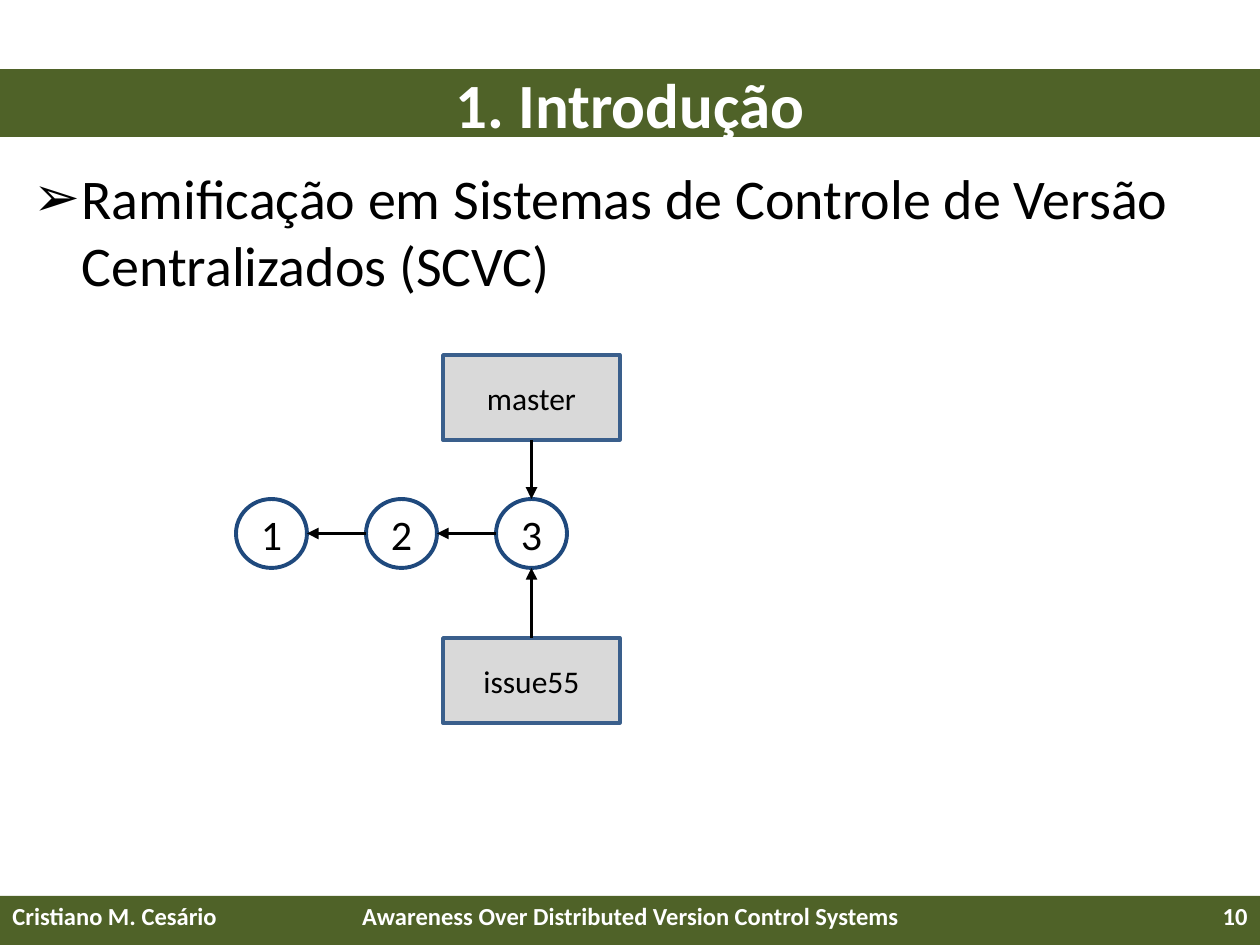
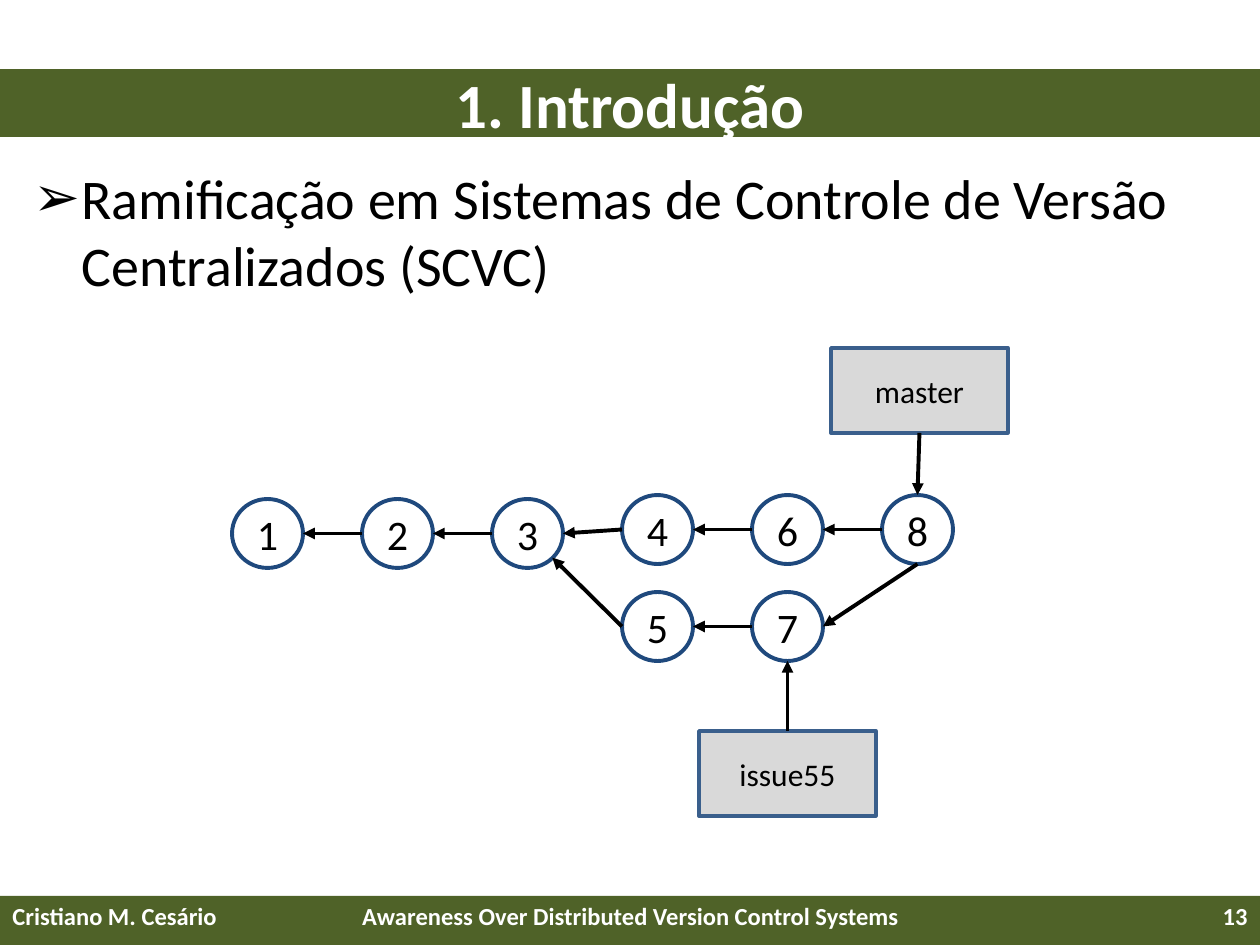
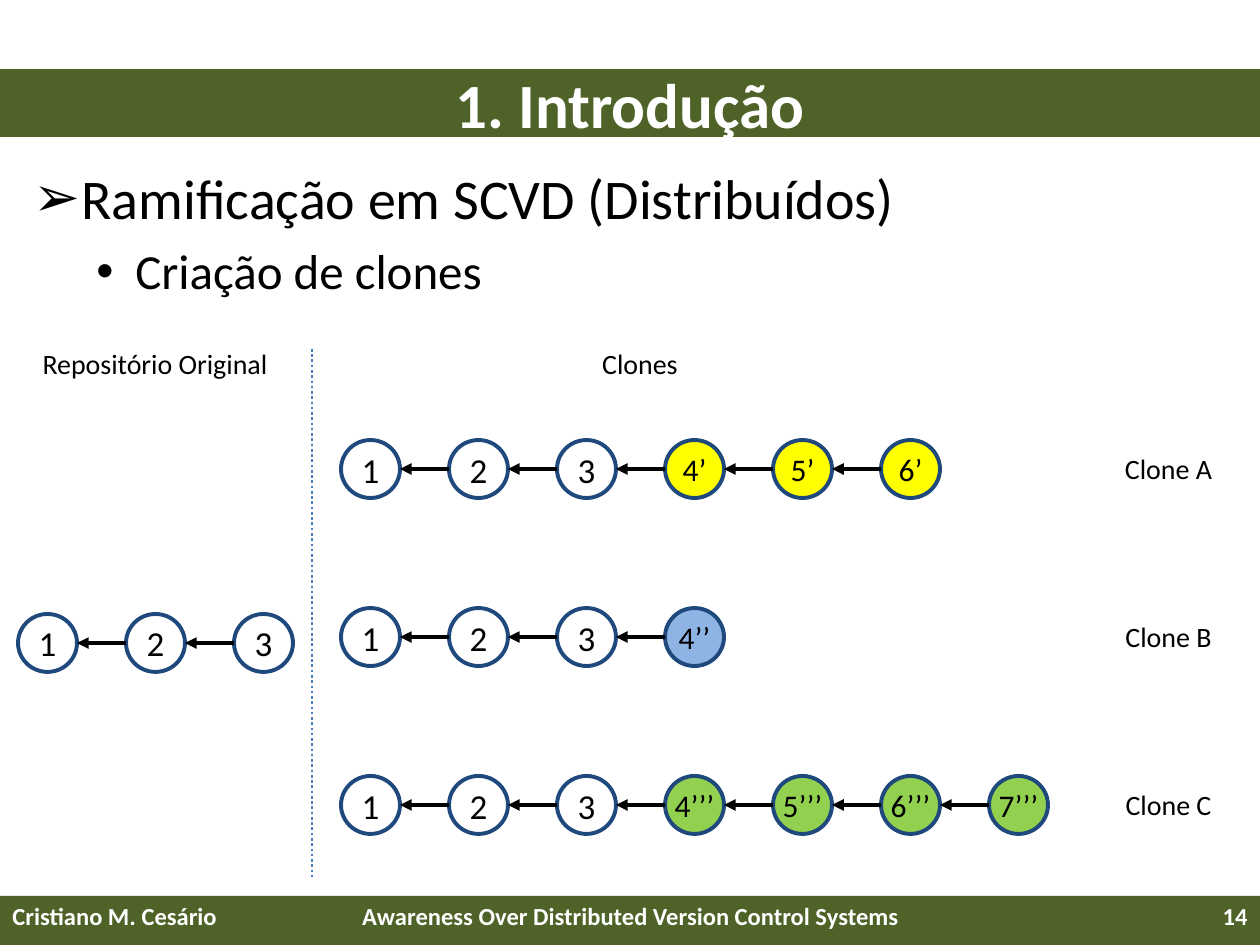
from lxml import etree
from pptx import Presentation
from pptx import util as u
from pptx.dml.color import RGBColor
from pptx.enum import dml, shapes, text
from pptx.oxml.ns import qn

WIDTH, HEIGHT = 1260, 945
SCALE = u.Inches(10) / WIDTH
FONT = "Calibri"
COLORS = {
    "band": "4F6228", "white": "FFFFFF", "ink": "000000",
    "branch": "D9D9D9", "branch_edge": "3A5F8C", "commit_edge": "1F497D",
    "divider": "4B7EBC", "clone_a": "FFFF00", "clone_b": "8EB4E3", "clone_c": "92D050",
}
ALIGN = {"l": text.PP_ALIGN.LEFT, "c": text.PP_ALIGN.CENTER, "r": text.PP_ALIGN.RIGHT}
# Points of a shape where arrows attach, as fractions of its size
SITES = {"left": (0, 0.5), "right": (1, 0.5), "top": (0.5, 0),
         "bottom": (0.5, 1), "lower right": (0.85, 0.85)}
# Bullet levels: character, left margin, hanging indent, text size, space before
LEVELS = [("➢", 48, 48, 32, 0), ("•", 102, 39, 28, 6)]


def emu(px):
    return u.Emu(round(px * SCALE))


def rgb(name):
    return RGBColor.from_string(COLORS[name])


class Deck:
    def __init__(self):
        self.prs = Presentation()
        self.prs.slide_width, self.prs.slide_height = emu(WIDTH), emu(HEIGHT)
        self.slide = None

    def new_slide(self, number, bullets):
        self.slide = self.prs.slides.add_slide(self.prs.slide_layouts[6])
        # Footer band
        self.shape("RECTANGLE", (0, 896, WIDTH, 49), "band")
        self.label("Cristiano M. Cesário", (0, 895, 294, 50), 14, "l", "white", True, "TOP")
        self.label("Awareness Over Distributed Version Control Systems",
                   (305, 895, 651, 50), 14, "c", "white", True, "TOP")
        self.label(str(number), (966, 895, 294, 50), 14, "r", "white", True, "TOP")
        # Title band
        title = self.shape("RECTANGLE", (0, 69, WIDTH, 68), "band")
        self.caption(title, "1. Introdução", 36, "c", "white", True)
        self.bullets(bullets)

    def add_words(self, paragraph, words, size, color="ink", bold=False):
        run = paragraph.add_run()
        run.text = words
        run.font.name, run.font.size, run.font.bold = FONT, u.Pt(size), bold
        run.font.color.rgb = rgb(color)

    def caption(self, shape, words, size, align="c", color="ink", bold=False, anchor="MIDDLE"):
        frame = shape.text_frame
        frame.word_wrap = True
        frame.vertical_anchor = text.MSO_ANCHOR[anchor]
        frame.paragraphs[0].alignment = ALIGN[align]
        self.add_words(frame.paragraphs[0], words, size, color, bold)

    def label(self, words, box, size, *style):
        self.caption(self.slide.shapes.add_textbox(*map(emu, box)), words, size, *style)

    def bullets(self, items):
        frame = self.slide.shapes.add_textbox(*map(emu, (21, 157, 1218, 725))).text_frame
        frame.word_wrap = True
        for i, (level, words) in enumerate(items):
            paragraph = frame.paragraphs[0] if i == 0 else frame.add_paragraph()
            char, margin, hang, size, before = LEVELS[level]
            props = paragraph._p.get_or_add_pPr()
            props.set("marL", str(emu(margin)))
            props.set("indent", str(-emu(hang)))
            etree.SubElement(props, qn("a:buFont")).set("typeface", "Arial")
            etree.SubElement(props, qn("a:buChar")).set("char", char)
            if i:
                paragraph.space_before = u.Pt(before)
            self.add_words(paragraph, words, size)

    def shape(self, kind, box, fill=None, edge=None, weight=2.25):
        shape = self.slide.shapes.add_shape(shapes.MSO_SHAPE[kind], *map(emu, box))
        shape.shadow.inherit = False
        if fill:
            shape.fill.solid()
            shape.fill.fore_color.rgb = rgb(fill)
        else:
            shape.fill.background()
        if edge:
            shape.line.color.rgb = rgb(edge)
            shape.line.width = u.Pt(weight)
        else:
            shape.line.fill.background()
        return shape

    def line(self, start, end, color="ink", weight=2.25):
        line = self.slide.shapes.add_connector(shapes.MSO_CONNECTOR.STRAIGHT, *start, *end)
        line.line.color.rgb = rgb(color)
        line.line.width = u.Pt(weight)
        etree.SubElement(line._element.spPr, qn("a:effectLst"))
        return line

    def arrow(self, source, source_site, target, target_site):
        ends = []
        for shape, site in ((source, source_site), (target, target_site)):
            fx, fy = SITES[site]
            ends.append((round(shape.left + fx * shape.width),
                         round(shape.top + fy * shape.height)))
        outline = self.line(*ends).line._get_or_add_ln()
        etree.SubElement(outline, qn("a:tailEnd")).set("type", "triangle")

    def divider(self, x, top, bottom):
        line = self.line((emu(x), emu(top)), (emu(x), emu(bottom)), "divider", 1.5)
        line.line.dash_style = dml.MSO_LINE.ROUND_DOT

    def branch(self, name, x, y):
        box = self.shape("RECTANGLE", (x, y, 177, 85), "branch", "branch_edge", 2)
        self.caption(box, name, 18)
        return box

    def commit(self, name, x, y, size, font, fill=None):
        node = self.shape("OVAL", (x, y, *size), fill, "commit_edge")
        node.text_frame.margin_left = node.text_frame.margin_right = 0
        self.caption(node, name, font)
        return node

    def history(self, names, x, y, pitch=130, size=(71, 69), font=24, new_fill=None):
        """Draw a row of commits, each pointing to the one before it."""
        nodes = []
        for i, name in enumerate(names):
            new = len(name) > 1
            node = self.commit(name, x + i * pitch, y, size, 18 if new else font,
                               new_fill if new else None)
            if nodes:
                self.arrow(node, "left", nodes[-1], "right")
            nodes.append(node)
        return nodes


def main():
    deck = Deck()
    centralized = [(0, "Ramificação em Sistemas de Controle de Versão Centralizados (SCVC)")]

    # Two branches on the same commit
    deck.new_slide(10, centralized)
    trunk = deck.history("123", 236, 499)
    master = deck.branch("master", 443, 355)
    issue = deck.branch("issue55", 443, 638)
    deck.arrow(master, "bottom", trunk[-1], "top")
    deck.arrow(issue, "top", trunk[-1], "bottom")

    # Branches diverge and merge
    deck.new_slide(13, centralized)
    trunk = deck.history("123", 232, 499)
    main_line = deck.history("468", 622, 495)
    issue_line = deck.history("57", 622, 592)
    deck.arrow(main_line[0], "left", trunk[-1], "right")
    deck.arrow(issue_line[0], "left", trunk[-1], "lower right")
    deck.arrow(main_line[-1], "bottom", issue_line[-1], "right")
    master = deck.branch("master", 831, 348)
    issue = deck.branch("issue55", 699, 731)
    deck.arrow(master, "bottom", main_line[-1], "top")
    deck.arrow(issue, "top", issue_line[-1], "bottom")

    # Repository and its clones
    deck.new_slide(14, [(0, "Ramificação em SCVD (Distribuídos)"), (1, "Criação de clones")])
    small = {"pitch": 108, "size": (59, 58), "font": 20}
    deck.label("Repositório Original", (29, 328, 252, 71), 16, "c")
    deck.label("Clones", (514, 328, 252, 71), 16, "c")
    deck.divider(312, 349, 878)
    deck.history("123", 18, 614, **small)
    clones = [("A", ["4’", "5’", "6’"]), ("B", ["4’’"]),
              ("C", ["4’’’", "5’’’", "6’’’", "7’’’"])]
    for row, (letter, new_commits) in enumerate(clones):
        y = 440 + 168 * row
        deck.history(["1", "2", "3", *new_commits], 341, y,
                     new_fill=f"clone_{letter.lower()}", **small)
        deck.label(f"Clone {letter}", (1095, y - 7, 147, 71), 16, "c")

    deck.prs.save("out.pptx")


if __name__ == "__main__":
    main()
